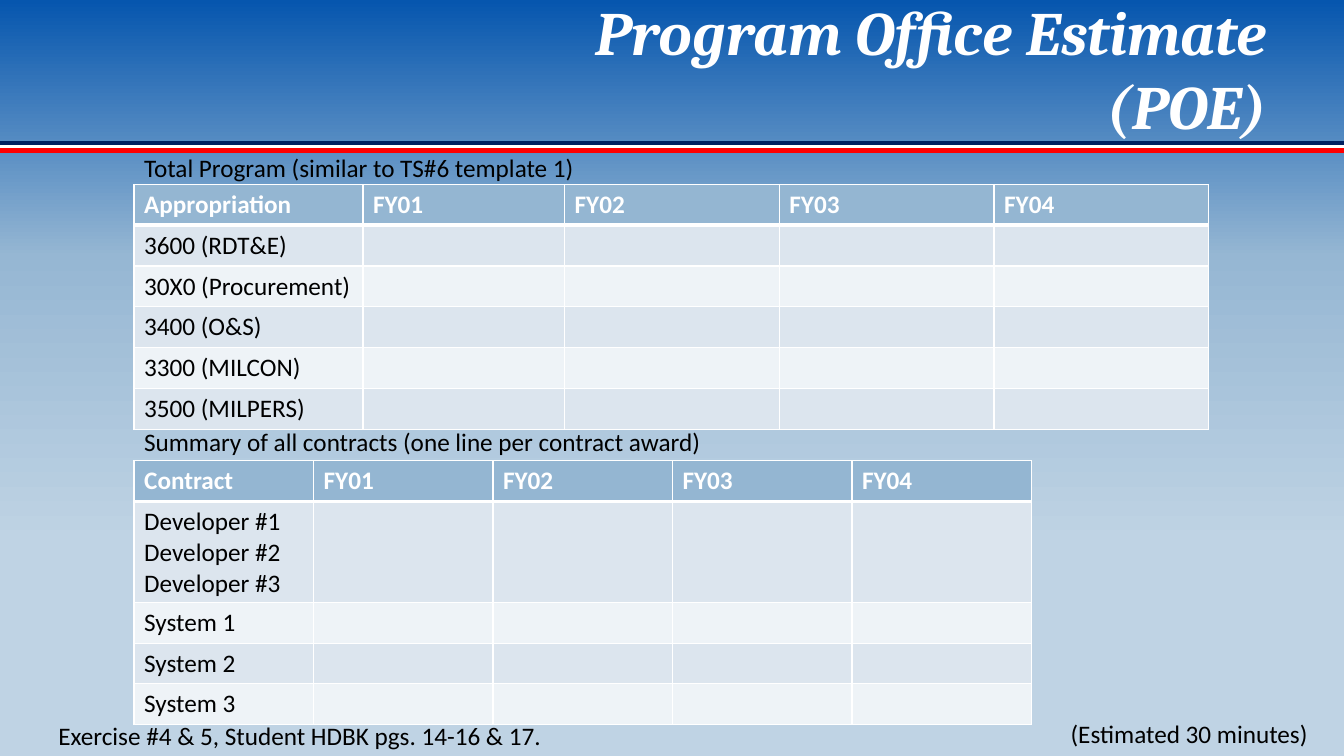
from copy import deepcopy
from lxml import etree
from pptx import Presentation
from pptx import util as u
from pptx.dml import color
from pptx.enum import shapes, text
from pptx.oxml import ns

COLORS = {
    "sky_top": "0656AE", "sky_middle": "96B7D3", "sky_bottom": "BFD3E4",
    "navy": "002060", "white": "FFFFFF", "red": "FF0000", "black": "000000",
    "header": "94B6D2", "odd_row": "DCE5EE", "even_row": "EEF3F7",
}


def add_span(para, words, ink, size=18, font="Calibri", bold=False, italic=False):
    span = para.add_run()
    span.text = words
    span.font.size = u.Pt(size)
    span.font.name = font
    span.font.bold = bold
    span.font.italic = italic
    span.font.color.rgb = color.RGBColor.from_string(COLORS[ink])


def add_borders(cell, widths):
    properties = cell._tc.get_or_add_tcPr()
    for place, (side, width) in enumerate(widths.items()):
        line = etree.Element(ns.qn(f"a:ln{side}"), w=str(u.Pt(width)))
        solid = etree.SubElement(line, ns.qn("a:solidFill"))
        etree.SubElement(solid, ns.qn("a:srgbClr"), val=COLORS["white"])
        properties.insert(place, line)


deck = Presentation()
deck.slide_width = u.Inches(13.33)
deck.slide_height = u.Inches(7.5)
page = deck.slides.add_slide(deck.slide_layouts[6])

sky = page.background.fill
sky.gradient()
sky.gradient_angle = 270
stop_list = page.element.find(".//" + ns.qn("a:gsLst"))
stop_list.append(deepcopy(stop_list[-1]))
sky_stops = [(0, "sky_top"), (0.34, "sky_middle"), (0.72, "sky_bottom")]
for stop, (position, name) in zip(sky.gradient_stops, sky_stops):
    stop.position = position
    stop.color.rgb = color.RGBColor.from_string(COLORS[name])

for top, name, width in [(1.42, "navy", 3.5), (1.46, "white", 2.5), (1.49, "red", 3.5)]:
    stripe = page.shapes.add_connector(
        shapes.MSO_CONNECTOR.STRAIGHT, 0, u.Inches(top), deck.slide_width, u.Inches(top))
    stripe.line.color.rgb = color.RGBColor.from_string(COLORS[name])
    stripe.line.width = u.Pt(width)
    etree.SubElement(stripe._element.spPr, ns.qn("a:effectLst"))

title = page.shapes.add_textbox(u.Inches(1.67), u.Inches(-0.11), u.Inches(11), u.Inches(1.25))
title.text_frame.word_wrap = True
title.text_frame.vertical_anchor = text.MSO_ANCHOR.TOP
para = title.text_frame.paragraphs[0]
para.alignment = text.PP_ALIGN.RIGHT
title_style = {"size": 44, "font": "Cambria", "bold": True, "italic": True}
add_span(para, "Program Office Estimate", "white", **title_style)
para.add_line_break()
add_span(para, "(POE)", "white", **title_style)

years = ["FY01", "FY02", "FY03", "FY04"]
row_height = u.Inches(2.43) // 6
tables = [
    (1.83, [2.27, 2, 2.13, 2.13, 2.13],
     ["Appropriation", "3600 (RDT&E)", "30X0 (Procurement)", "3400 (O&S)",
      "3300 (MILCON)", "3500 (MILPERS)"]),
    (4.57, [1.78] * 5,
     ["Contract", "Developer #1\nDeveloper #2\nDeveloper #3",
      "System 1", "System 2", "System 3"]),
]
for top, widths, labels in tables:
    grid = page.shapes.add_table(
        len(labels), len(widths), u.Inches(1.33), u.Inches(top),
        u.Inches(sum(widths)), row_height * len(labels)).table
    for column, width in zip(grid.columns, widths):
        column.width = u.Inches(width)
    for r, label in enumerate(labels):
        if "\n" in label:
            grid.rows[r].height = u.Inches(1)
        entries = [label] + (years if r == 0 else [""] * len(years))
        fill_name = "header" if r == 0 else "odd_row" if r % 2 else "even_row"
        for c, entry in enumerate(entries):
            cell = grid.cell(r, c)
            cell.fill.solid()
            cell.fill.fore_color.rgb = color.RGBColor.from_string(COLORS[fill_name])
            add_borders(cell, {"L": 1, "R": 1, "T": 3 if r == 1 else 1, "B": 3 if r == 0 else 1})
            for i, words in enumerate(entry.split("\n") if entry else []):
                frame = cell.text_frame
                para = frame.add_paragraph() if i else frame.paragraphs[0]
                add_span(para, words, "white" if r == 0 else "black", bold=r == 0)

captions = [
    (0.48, 7.1, 5.05, "Exercise #4 & 5, Student HDBK pgs. 14-16 & 17."),
    (10.52, 7.08, 2.58, "(Estimated 30 minutes)"),
    (1.33, 1.46, 4.51, "Total Program (similar to TS#6 template 1)"),
    (1.33, 4.18, 5.79, "Summary of all contracts (one line per contract award)"),
]
for left, top, width, words in captions:
    box = page.shapes.add_textbox(u.Inches(left), u.Inches(top), u.Inches(width), u.Inches(0.4))
    box.text_frame.word_wrap = False
    box.text_frame.auto_size = text.MSO_AUTO_SIZE.SHAPE_TO_FIT_TEXT
    add_span(box.text_frame.paragraphs[0], words, "black")

deck.save("out.pptx")
